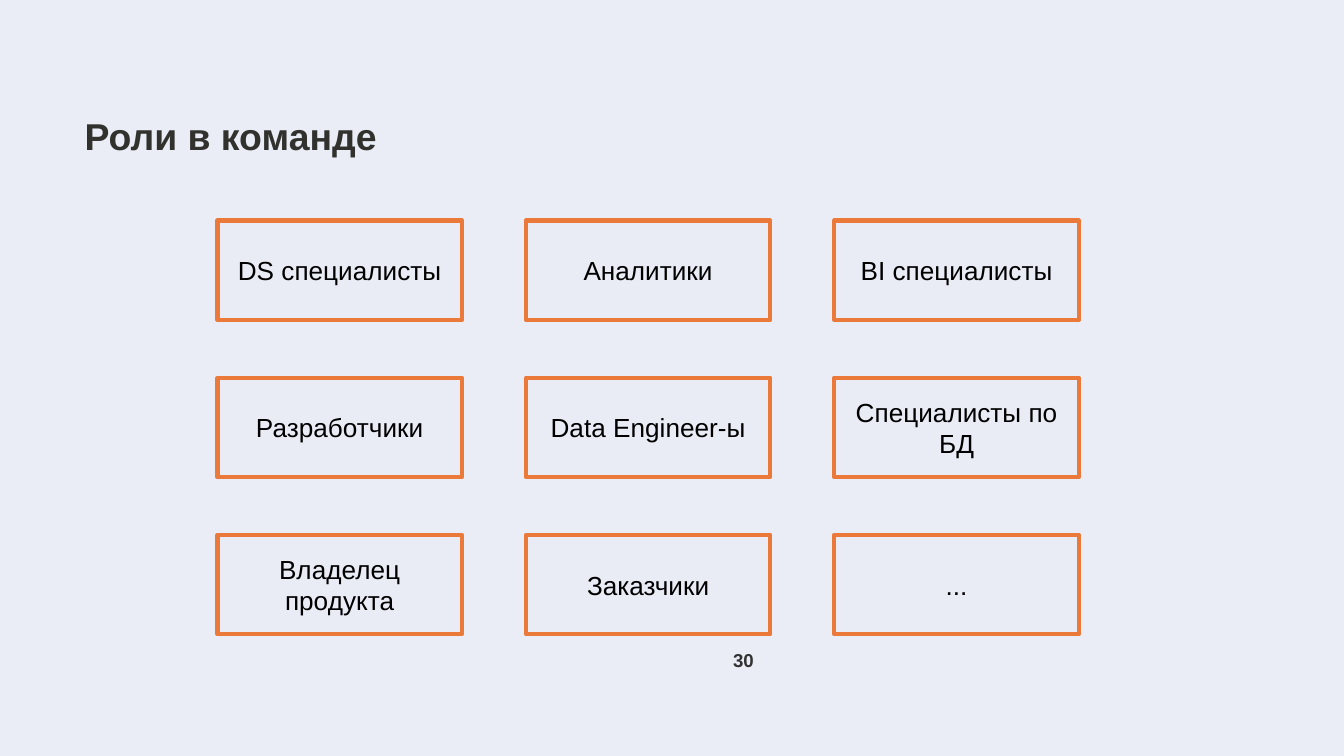
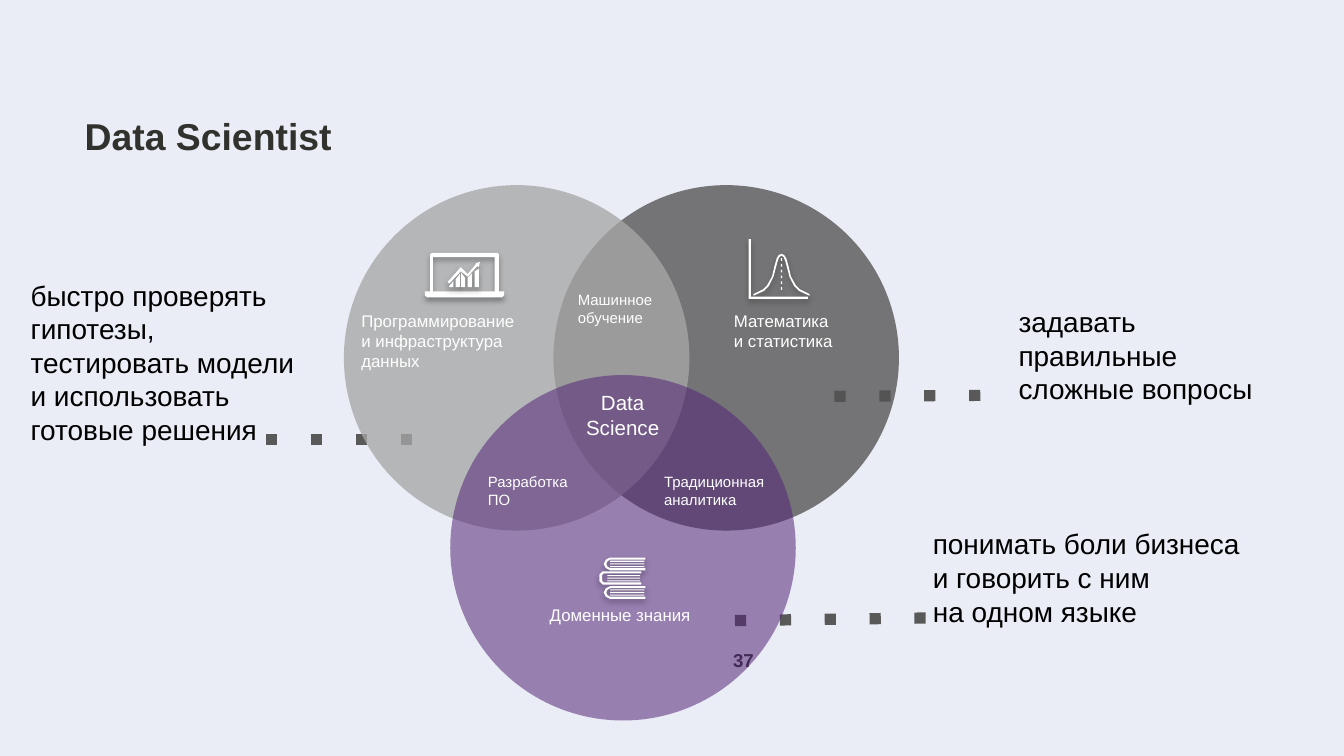
from lxml.etree import SubElement
from pptx import Presentation
from pptx.dml.color import RGBColor
from pptx.enum.shapes import MSO_CONNECTOR as Connector, MSO_SHAPE as Shape
from pptx.enum.text import MSO_ANCHOR as Anchor, PP_ALIGN as Align
from pptx.oxml.ns import qn
from pptx.util import Cm, Pt

COLORS = {
    "background": "EAECF6", "title": "31312E", "number": "323232",
    "text": "000000", "label": "FFFFFF", "role_fill": "E9EBF5",
    "role_line": "EB7939", "dots": "595959",
}
TITLE = {"size": 20, "bold": True, "color": COLORS["title"], "anchor": Anchor.MIDDLE,
         "insets": (0.18, 0.1), "spacing": 0.9}
NUMBER = {**TITLE, "size": 10, "color": COLORS["number"], "align": Align.CENTER}
ROLE = {"size": 14, "color": COLORS["text"], "anchor": Anchor.MIDDLE,
        "align": Align.CENTER, "insets": (0.25, 0.25)}
SKILL = {"size": 15, "color": COLORS["text"], "insets": (0.1, 0.1)}
FIELD = {"size": 9, "color": COLORS["label"], "insets": (0.05, 0.05)}
OVERLAP = {**FIELD, "size": 8}
CENTER = {**FIELD, "size": 11, "align": Align.CENTER}

ROLES = [
    ["DS специалисты", "Аналитики", "BI специалисты"],
    ["Разработчики", "Data Engineer-ы", "Специалисты по БД"],
    ["Владелец продукта", "Заказчики", "..."],
]
SKILLS = [
    (["понимать боли бизнеса", "и говорить с ним", "на одном языке"],
     (17.53, 9.86, 7.62, 1.83)),
    (["задавать правильные сложные вопросы"], (19.15, 5.66, 5.11, 1.83)),
    (["быстро проверять гипотезы,", "тестировать модели", "и использовать",
      "готовые решения"], (0.48, 5.16, 5.54, 1.83)),
]
DOTTED_LINES = [
    (5.03, 8.31, 8.41, 8.31),
    (15.77, 7.49, 19.02, 7.47),
    (13.89, 11.73, 17.6, 11.68),
]
CIRCLE_SIZE = 6.53
CIRCLES = [
    (10.46, 3.5, "535353", 78),
    (6.5, 3.5, "A7A7A7", 78),
    (8.51, 7.09, "522376", 54),
]
LABELS = [
    (["Программирование", "и инфраструктура", "данных"], (6.78, 5.82, 4.11, 1.45), FIELD),
    (["Математика", "и статистика"], (13.82, 5.82, 2.64, 1.02), FIELD),
    (["Доменные знания"], (10.34, 11.38, 3.51, 1.02), FIELD),
    (["Машинное", "обучение"], (10.87, 5.44, 1.91, 0.86), OVERLAP),
    (["Традиционная", "аналитика"], (12.5, 8.89, 2.46, 0.86), OVERLAP),
    (["Разработка", "ПО"], (9.17, 8.89, 1.91, 0.86), OVERLAP),
    (["Data", "Science"], (10.87, 7.32, 1.8, 1.17), CENTER),
]

LAPTOP = [(10, 3), (13, 0), (137, 0), (140, 3), (140, 73), (150, 73), (150, 80),
          (146, 84), (4, 84), (0, 80), (0, 73), (10, 73)]
TREND = [(61, 0), (53, 3), (53, 5), (38, 23), (25, 10), (0, 38), (3, 41),
         (25, 18), (38, 28), (56, 8), (59, 10)]
BARS = [(3, 46, 36), (15, 33, 23), (25, 20, 30), (38, 30, 22), (51, 18, 13)]
AXES = [(0, 0), (4, 0), (4, 109), (112, 109), (112, 113), (0, 113)]
BELL_OUTER = [(0, 28), (5, 30), (9, 36), (13, 50), (18, 71), (27, 87), (35, 95), (53, 104)]
BELL_INNER = [(0, 31), (4, 34), (7, 41), (10, 52), (15, 71), (24, 89), (33, 98), (53, 107)]
BOOK = [(87, 0), (20, 0), (12, 4), (8, 12), (12, 20), (20, 24), (87, 24), (87, 20),
        (20, 20), (15, 17), (13, 12), (15, 7), (20, 4), (87, 4)]
MIDDLE_BOOK = [(79, 26), (6, 26), (0, 32), (0, 45), (6, 51), (79, 51), (79, 47),
               (8, 47), (5, 44), (5, 33), (8, 30), (79, 30)]


def color(value):
    return RGBColor.from_string(value)


def rectangle(left, top, right, bottom):
    return [(left, top), (right, top), (right, bottom), (left, bottom)]


def lower(points, distance):
    return [(x, y + distance) for x, y in points]


def mirror(half, middle=62):
    return ([(middle - x, y) for x, y in reversed(half)]
            + [(middle + x, y) for x, y in half[1:]])


def write(shape, lines, style):
    frame = shape.text_frame
    horizontal, vertical = map(Cm, style["insets"])
    settings = {
        "word_wrap": True, "vertical_anchor": style.get("anchor", Anchor.TOP),
        "margin_left": horizontal, "margin_right": horizontal,
        "margin_top": vertical, "margin_bottom": vertical,
    }
    for name, value in settings.items():
        setattr(frame, name, value)
    for index, line in enumerate(lines):
        paragraph = frame.add_paragraph() if index else frame.paragraphs[0]
        paragraph.text = line
        paragraph.alignment = style.get("align", Align.LEFT)
        paragraph.line_spacing = style.get("spacing", 1.0)
        font = {"name": "Arial", "size": Pt(style["size"]), "bold": style.get("bold", False)}
        for name, value in font.items():
            setattr(paragraph.font, name, value)
        paragraph.font.color.rgb = color(style["color"])


def add_text(slide, lines, box, style):
    write(slide.shapes.add_textbox(*map(Cm, box)), lines, style)


def paint(shape, fill, line=None, opacity=None):
    shape.shadow.inherit = False
    shape.fill.solid()
    shape.fill.fore_color.rgb = color(fill)
    if line:
        shape.line.color.rgb = color(line)
        shape.line.width = Pt(2.25)
    else:
        shape.line.fill.background()
    if opacity:
        fill_color = shape.element.spPr.find(qn("a:solidFill"))[0]
        SubElement(fill_color, qn("a:alpha"), val=str(opacity * 1000))


def add_dotted_line(slide, ends):
    connector = slide.shapes.add_connector(Connector.STRAIGHT, *map(Cm, ends))
    connector.line.color.rgb = color(COLORS["dots"])
    connector.line.width = Pt(6)
    properties = connector.element.spPr
    SubElement(properties.find(qn("a:ln")), qn("a:prstDash"), val="dot")
    SubElement(properties, qn("a:effectLst"))


def add_icon(slide, left, top, outlines):
    first, *others = outlines
    builder = slide.shapes.build_freeform(*first[0], scale=float(Cm(0.01)))
    builder.add_line_segments(first[1:], close=True)
    for outline in others:
        builder.move_to(*outline[0])
        builder.add_line_segments(outline[1:], close=True)
    shape = builder.convert_to_shape(Cm(left), Cm(top))
    paint(shape, COLORS["label"])
    effects = shape.element.spPr.find(qn("a:effectLst"))
    shadow = SubElement(effects, qn("a:outerShdw"), blurRad=str(Pt(3)), dist=str(Pt(1.8)),
                        dir="5400000", algn="t", rotWithShape="0")
    shadow_color = SubElement(shadow, qn("a:srgbClr"), val="000000")
    SubElement(shadow_color, qn("a:alpha"), val="35000")


def add_slide(presentation, title, number):
    slide = presentation.slides.add_slide(presentation.slide_layouts[6])
    slide.background.fill.solid()
    slide.background.fill.fore_color.rgb = color(COLORS["background"])
    add_text(slide, [title], (1.42, 1.42, 21.67, 2.39), TITLE)
    add_text(slide, [number], (13.11, 11.99, 1.88, 1.04), NUMBER)
    return slide


def build_roles(presentation):
    slide = add_slide(presentation, "Роли в команде", "30")
    for row, names in enumerate(ROLES):
        for column, name in enumerate(names):
            box = (4.11 + 5.83 * column, 4.17 + 2.97 * row, 4.62, 1.88)
            shape = slide.shapes.add_shape(Shape.RECTANGLE, *map(Cm, box))
            paint(shape, COLORS["role_fill"], COLORS["role_line"])
            write(shape, [name], ROLE)


def build_scientist(presentation):
    slide = add_slide(presentation, "Data Scientist", "37")
    for lines, box in SKILLS:
        add_text(slide, lines, box, SKILL)
    for ends in DOTTED_LINES:
        add_dotted_line(slide, ends)
    for left, top, fill, opacity in CIRCLES:
        box = (left, top, CIRCLE_SIZE, CIRCLE_SIZE)
        circle = slide.shapes.add_shape(Shape.OVAL, *map(Cm, box))
        paint(circle, fill, opacity=opacity)
    for lines, box, style in LABELS:
        add_text(slide, lines, box, style)

    bell = mirror(BELL_OUTER) + mirror(BELL_INNER)[::-1]
    dashes = [rectangle(61, 36 + 11 * i, 63, 41 + 11 * i) for i in range(6)]
    add_icon(slide, 14.15, 4.52, [AXES, bell, *dashes])

    add_icon(slide, 8.03, 4.78, [LAPTOP, rectangle(15, 8, 132, 73)[::-1]])
    bars = [[(x, start), (x + 8, end), (x + 8, 48), (x, 48)] for x, start, end in BARS]
    add_icon(slide, 8.46, 4.95, [TREND, *bars])

    pages = [rectangle(20, y + 5 * i, 85, y + 5 * i + 2) for y in (6, 60) for i in range(3)]
    pages += [rectangle(15, 33 + 5 * i, 77, 35 + 5 * i) for i in range(3)]
    add_icon(slide, 11.33, 10.54, [BOOK, MIDDLE_BOOK, lower(BOOK, 54), *pages])


def main():
    presentation = Presentation()
    presentation.slide_width = Cm(25.4)
    presentation.slide_height = Cm(14.29)
    build_roles(presentation)
    build_scientist(presentation)
    presentation.save("out.pptx")


if __name__ == "__main__":
    main()
